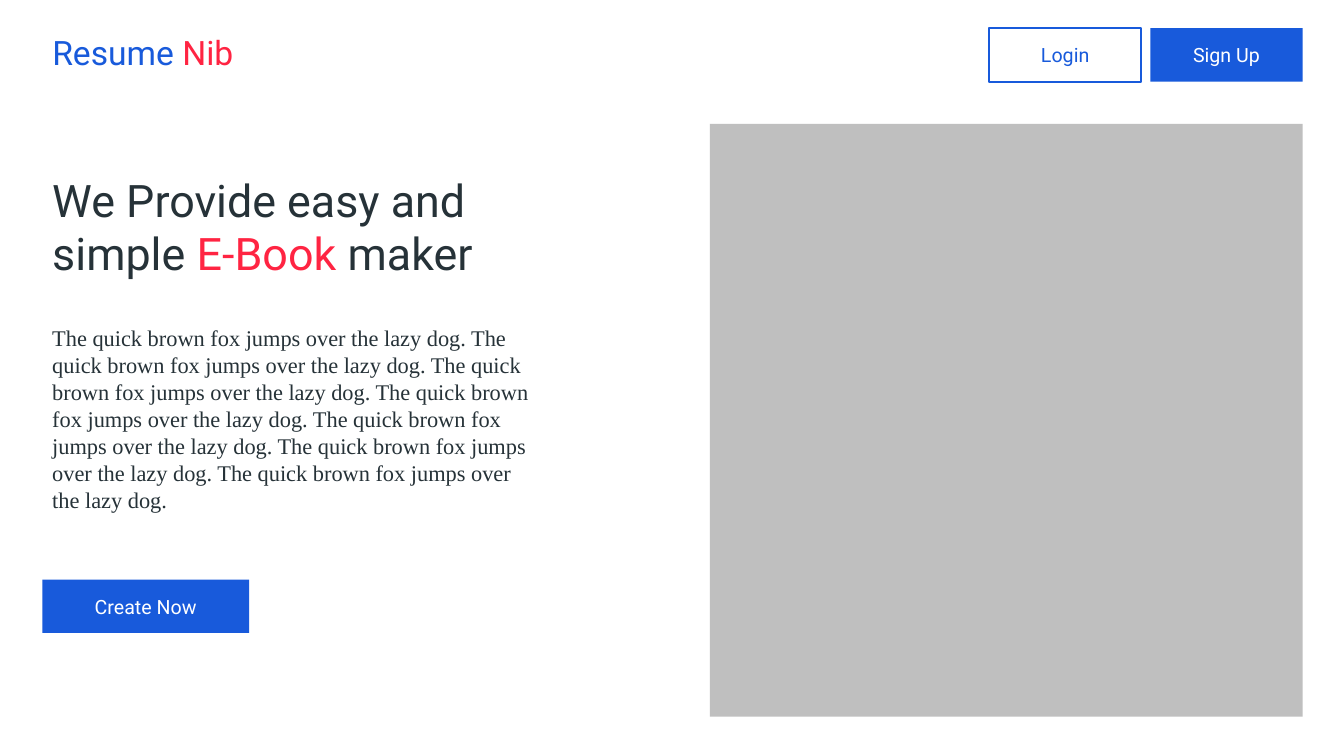
from pptx import Presentation
from pptx.dml.color import RGBColor
from pptx.enum.shapes import MSO_SHAPE
from pptx.enum.text import MSO_ANCHOR, MSO_AUTO_SIZE, PP_ALIGN
from pptx.util import Inches, Pt

RECTANGLE = MSO_SHAPE.RECTANGLE
ROUNDED = MSO_SHAPE.ROUNDED_RECTANGLE
MIDDLE = MSO_ANCHOR.MIDDLE
FIT_SHAPE = MSO_AUTO_SIZE.SHAPE_TO_FIT_TEXT
CENTER = PP_ALIGN.CENTER

WIDTH, HEIGHT = 13.33, 7.5
MARGIN = 0.42
RIGHT_EDGE = WIDTH - 0.41
BUTTON_HEIGHT = 0.53
BUTTON_GAP = 0.09

BLUE, RED, INK, GRAY, WHITE = "185ADB", "FF2442", "263238", "BFBFBF", "FFFFFF"
HEADING_FONT, BODY_FONT = "Roboto", "Times New Roman"
PANGRAM = "The quick brown fox jumps over the lazy dog."


def color(hex_code):
    return RGBColor.from_string(hex_code)


def add_runs(paragraph, runs, size, font):
    """Append (text, colour) pairs as runs of one size and font."""
    for text, hex_code in runs:
        run = paragraph.add_run()
        run.text = text
        run.font.size = Pt(size)
        run.font.name = font
        run.font.color.rgb = color(hex_code)


def add_text(slide, box, runs, size, font=HEADING_FONT):
    frame = slide.shapes.add_textbox(*map(Inches, box)).text_frame
    frame.word_wrap = True
    frame.auto_size = FIT_SHAPE
    add_runs(frame.paragraphs[0], runs, size, font)


def add_block(slide, kind, box, fill=None, line=None):
    block = slide.shapes.add_shape(kind, *map(Inches, box))
    block.shadow.inherit = False
    if fill:
        block.fill.solid()
        block.fill.fore_color.rgb = color(fill)
    else:
        block.fill.background()
    if line:
        block.line.color.rgb = color(line)
        block.line.width = Pt(1.5)
    else:
        block.line.fill.background()
    return block


def add_button(slide, box, label, filled=True):
    button = add_block(slide, ROUNDED, box,
                       fill=BLUE if filled else None,
                       line=None if filled else BLUE)
    button.adjustments[0] = 0
    frame = button.text_frame
    frame.word_wrap = True
    frame.vertical_anchor = MIDDLE
    frame.paragraphs[0].alignment = CENTER
    add_runs(frame.paragraphs[0], [(label, WHITE if filled else BLUE)], 14, HEADING_FONT)


def add_header(slide, left, top, right):
    """Site name on the left, account buttons lined up from the right."""
    add_text(slide, (left, top, 3.31, 0.5), [("Resume ", BLUE), ("Nib", RED)], 24)
    button_width = 1.51
    for place, (label, filled) in enumerate([("Sign Up", True), ("Login", False)], start=1):
        button_left = right - place * button_width - (place - 1) * BUTTON_GAP
        add_button(slide, (button_left, top + 0.01, button_width, BUTTON_HEIGHT), label, filled)


def add_pitch(slide, left, top, width):
    """Headline, description and call to action in one column."""
    headline = [("We Provide easy and simple ", INK), ("E-Book ", RED), ("maker", INK)]
    add_text(slide, (left, top, width, 1.18), headline, 32)
    description = " ".join([PANGRAM] * 7)
    add_text(slide, (left, top + 1.51, width, 1.99), [(description, INK)], 16, BODY_FONT)
    add_button(slide, (left, top + 4.09, 2.05, BUTTON_HEIGHT), "Create Now")


def add_illustration_area(slide, right, top, side):
    add_block(slide, RECTANGLE, (right - side, top, side, side), fill=GRAY)


def main():
    deck = Presentation()
    deck.slide_width, deck.slide_height = Inches(WIDTH), Inches(HEIGHT)
    landing = deck.slides.add_slide(deck.slide_layouts[6])
    landing.background.fill.solid()
    landing.background.fill.fore_color.rgb = color(WHITE)

    add_header(landing, MARGIN, 0.27, RIGHT_EDGE)
    add_illustration_area(landing, RIGHT_EDGE, 1.23, 5.88)
    add_pitch(landing, MARGIN, 1.66, 5.06)
    deck.save("out.pptx")


if __name__ == "__main__":
    main()
